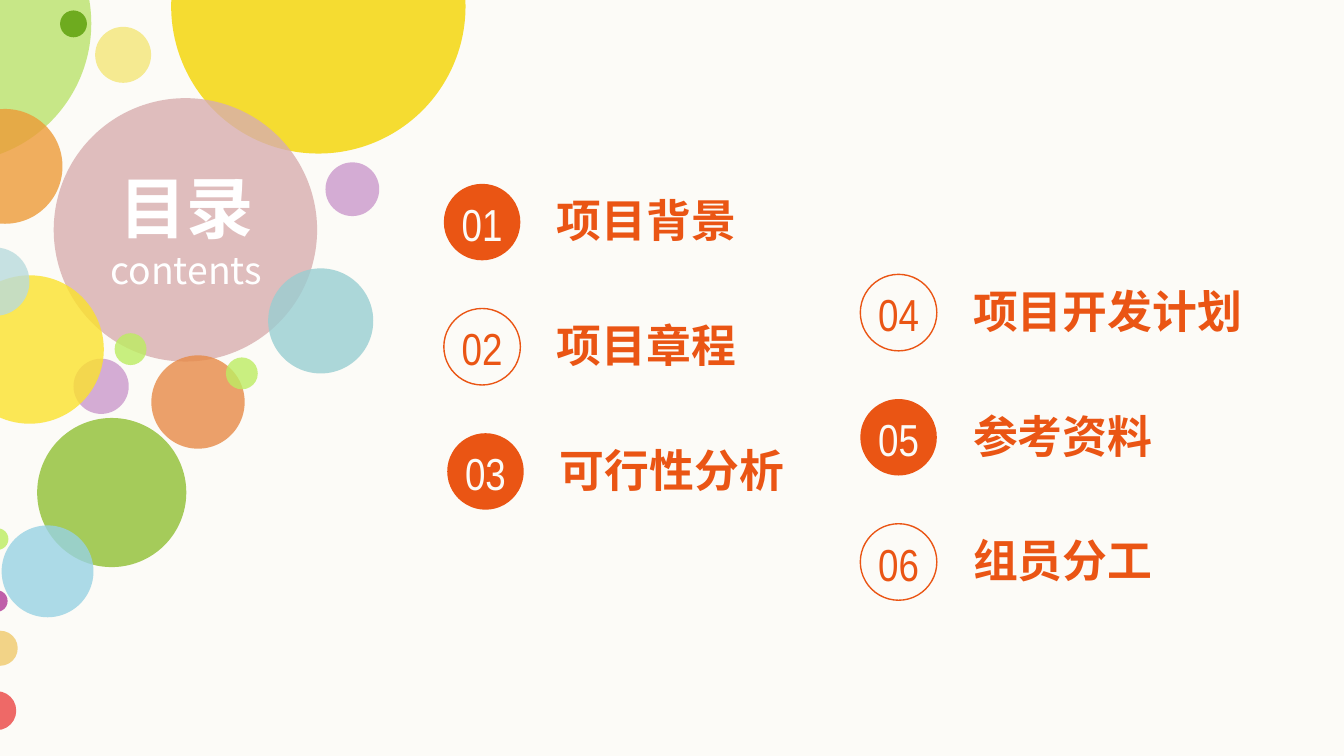
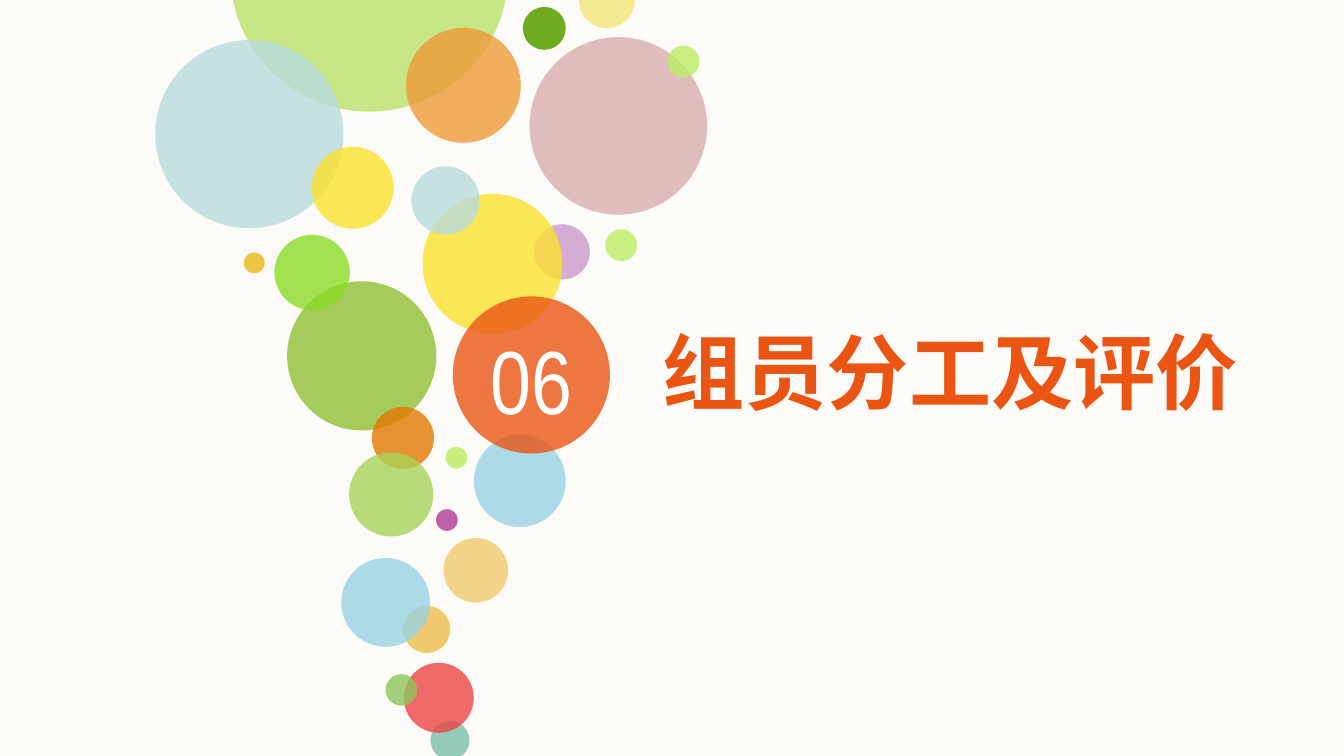
from lxml.etree import SubElement
from pptx import Presentation
from pptx.dml.color import RGBColor
from pptx.enum.shapes import MSO_SHAPE
from pptx.enum.text import MSO_ANCHOR, MSO_AUTO_SIZE, PP_ALIGN
from pptx.oxml.ns import qn
from pptx.util import Pt

PAPER, WHITE, ORANGE = "FCFBF7", "FFFFFF", "EA5514"
LIME, MOSS, AMBER, CREAM = "BAE36B", "6EAB1F", "ED9B38", "F5EA91"
ROSE, LILAC, LEAF, YELLOW = "D8AEAF", "CB99CC", "A5CB5A", "FBE22D"
MIST, SKY, SAND, PLUM, RED = "B9DBDD", "98D2E3", "F0CA6C", "B03896", "EB4544"
SANS, NARROW = "Noto Sans CJK SC", "Arial Narrow"

# Bubbles from back to front: left, top, diameter, colour, opacity if not 80 %
CORNER = [
    (-100.1, -61.9, 149, LIME), (32.2, 5.6, 14.4, MOSS, 100),
    (-28, 58.4, 61.5, AMBER), (51, 14.4, 30, CREAM, 100),
    (91.7, -75.4, 157.7, "F4D500"), (28.8, 52.6, 141.1, ROSE),
    (143.7, 143.8, 56.3, "99CED2"), (174.4, 87, 28.8, LILAC),
    (81.1, 190.4, 50, "E78A47"), (19.9, 223.9, 79.9, LEAF, 100),
    (121, 191.5, 17.1, "BDED63"), (61.4, 178.5, 17.1, "BCED61"),
    (39.4, 192.2, 29.6, LILAC), (-23.9, 147.5, 79.5, YELLOW),
    (-7.1, 283, 11.6, "BCED60"), (-7.5, 316.2, 11.6, PLUM),
    (-9.3, 337.9, 18.8, SAND), (-12.2, 370.3, 20.9, RED),
    (-20.8, 132.6, 36.6, MIST), (0.9, 281.5, 49.2, SKY),
]
STREAM = [
    (123.3, -89.2, 149, LIME), (280.1, 3.7, 23, MOSS, 100),
    (83.2, 21.5, 100.8, MIST), (217.5, 15, 61.5, AMBER),
    (310.1, -14.9, 30, CREAM, 100), (283.7, 19.9, 95.1, ROSE),
    (153.8, 150.7, 79.9, LEAF, 100), (357.6, 24.4, 17.1, "BDED63"),
    (324.2, 122.8, 17.1, "BCED61"), (286.4, 120.2, 29.6, LILAC),
    (226.4, 103.9, 74.9, YELLOW), (167, 78.6, 43.9, YELLOW),
    (147, 125.8, 40.4, "8CDB27"), (130.7, 135.3, 11.1, "E9B915"),
    (238.7, 239.4, 11.6, "BCED60"), (233.6, 272.8, 11.6, PLUM),
    (237.6, 288.2, 34.6, SAND), (216, 324.6, 25.2, SAND, 100),
    (230.6, 386.2, 20.9, "7BBFAA"), (216.3, 355.1, 37.5, RED),
    (206.6, 361.2, 16.9, "8DC65B"), (182.8, 298.9, 47.6, SKY),
    (220.4, 89.1, 36.6, MIST), (253.9, 233.1, 49.2, SKY),
    (199.2, 218, 33.3, "E27902"), (187, 242.3, 45.1, "A9D25A"),
    (242.6, 158.8, 84.2, ORANGE),
]

# Contents entries: number, label, label width
LEFT = [("01", "项目背景", 117), ("02", "项目章程", 117), ("03", "可行性分析", 127)]
RIGHT = [("04", "项目开发计划", 153), ("05", "参考资料", 137), ("06", "组员分工", 153)]
DISC, PITCH = 41, 66.8


def rgb(code):
    return RGBColor.from_string(code)


class Deck:
    def __init__(self):
        self.prs = Presentation()
        self.prs.slide_width, self.prs.slide_height = Pt(720), Pt(405)
        self.slide = None

    def page(self, bubbles):
        self.slide = self.prs.slides.add_slide(self.prs.slide_layouts[6])
        fill = self.slide.background.fill
        fill.solid()
        fill.fore_color.rgb = rgb(PAPER)
        for bubble in bubbles:
            self.disc(*bubble)

    def disc(self, x, y, size, color, alpha=80, ring=False):
        shape = self.slide.shapes.add_shape(
            MSO_SHAPE.OVAL, Pt(x), Pt(y), Pt(size), Pt(size))
        shape.shadow.inherit = False
        if ring:
            shape.fill.background()
            shape.line.color.rgb = rgb(color)
            shape.line.width = Pt(0.75)
            return
        shape.line.fill.background()
        shape.fill.solid()
        shape.fill.fore_color.rgb = rgb(color)
        if alpha < 100:
            tint = shape.fill._xPr.find(".//" + qn("a:srgbClr"))
            SubElement(tint, qn("a:alpha"), val=str(alpha * 1000))

    def text(self, x, y, w, h, lines, color, font=SANS, align=PP_ALIGN.LEFT):
        """Each line is (text, size, bold)."""
        box = self.slide.shapes.add_textbox(Pt(x), Pt(y), Pt(w), Pt(h))
        frame = box.text_frame
        frame.word_wrap = True
        frame.auto_size = MSO_AUTO_SIZE.SHAPE_TO_FIT_TEXT
        frame.vertical_anchor = MSO_ANCHOR.TOP
        frame.margin_left = frame.margin_right = Pt(0)
        frame.margin_top = frame.margin_bottom = Pt(0)
        for i, (words, size, bold) in enumerate(lines):
            para = frame.add_paragraph() if i else frame.paragraphs[0]
            para.text = words
            para.alignment = align
            style = para.font
            style.size, style.bold = Pt(size), bold
            style.color.rgb = rgb(color)
            style.name = font
            SubElement(style._rPr, qn("a:ea"), typeface=font)

    def entry(self, x, y, number, label, width):
        ring = int(number) % 2 == 0
        self.disc(x, y, DISC, ORANGE, 100, ring)
        self.text(x, y + 6.8, DISC, 28.8, [(number, 24, False)],
                  ORANGE if ring else PAPER, NARROW, PP_ALIGN.CENTER)
        self.text(x + 60.4, y + 5, width, 28.8, [(label, 24, True)], ORANGE)


def main():
    deck = Deck()

    # Contents
    deck.page(CORNER)
    deck.text(45.4, 89.3, 108.7, 67.7,
              [("目录", 36, True), ("contents", 20, False)],
              WHITE, align=PP_ALIGN.CENTER)
    for x, y, items in ((237.8, 98.5, LEFT), (460.9, 147, RIGHT)):
        for i, item in enumerate(items):
            shift = 1.8 if item[0] == "03" else 0
            deck.entry(x + shift, y + i * PITCH, *item)

    # Section opener
    deck.page(STREAM)
    deck.text(256, 174.2, 57.6, 58.3, [("06", 48, False)],
              WHITE, NARROW, PP_ALIGN.CENTER)
    deck.text(355, 172.1, 322.6, 53.3, [("组员分工及评价", 44, True)], ORANGE)

    deck.prs.save("out.pptx")


if __name__ == "__main__":
    main()
